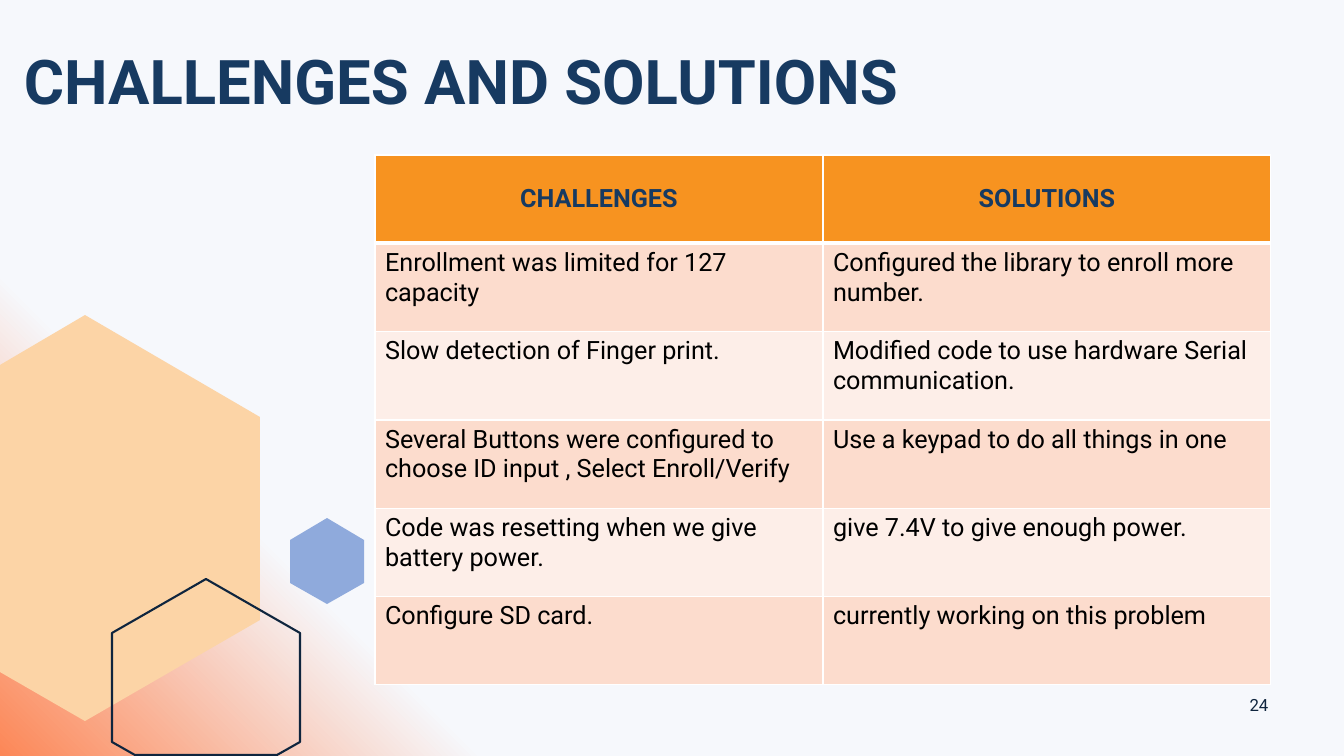
import pptx
import pptx.dml.color
import pptx.enum.text
import pptx.oxml
import pptx.oxml.ns
import pptx.util

COLORS = {
    "paper": "F6F8FC",
    "glow": "FC8757",
    "sky": "19AFE2",
    "peach": "FCD4A6",
    "periwinkle": "8FAADC",
    "ink": "0F253E",
    "navy": "173A61",
    "orange": "F79320",
    "rose": "FCDCCD",
    "blush": "FDEEE8",
    "white": "FFFFFF",
    "black": "000000",
}
EMU_PER_PX = 914400 / 100.8
CENTER = pptx.enum.text.PP_ALIGN.CENTER
LEFT = pptx.enum.text.PP_ALIGN.LEFT
TOP = pptx.enum.text.MSO_ANCHOR.TOP
MIDDLE = pptx.enum.text.MSO_ANCHOR.MIDDLE

ROWS = [
    ("CHALLENGES", "SOLUTIONS"),
    ("Enrollment was limited for 127 capacity",
     "Configured the library to enroll more number."),
    ("Slow detection of Finger print.",
     "Modified code to use hardware Serial communication."),
    ("Several Buttons were configured to choose ID input , Select Enroll/Verify",
     "Use a keypad to do all things in one"),
    ("Code was resetting when we give battery power.",
     "give 7.4V to give enough power."),
    ("Configure SD card.", "currently working on this problem"),
]
LARGE_HEXAGON = [(85, 315), (260, 417), (260, 620), (85, 721), (0, 672), (0, 365)]
OUTLINE_HEXAGON = [(206, 579), (300, 633), (300, 742), (277, 755),
                   (135, 755), (112, 742), (112, 633)]
SMALL_HEXAGON = [(327, 518), (290, 540), (290, 583), (327, 604), (364, 583), (364, 540)]


def px(length):
    return pptx.util.Emu(round(length * EMU_PER_PX))


def rgb(name):
    return pptx.dml.color.RGBColor.from_string(COLORS[name])


class SlideBuilder:
    def __init__(self, page, font):
        self.page = page
        self.font = font

    def background(self, stops):
        self.page.background.fill.solid()
        solid = self.page.element.find(".//" + pptx.oxml.ns.qn("a:solidFill"))
        stop_xml = "".join(
            f'<a:gs pos="{position * 1000}"><a:srgbClr val="{COLORS[color]}">'
            f'<a:alpha val="{alpha * 1000}"/></a:srgbClr></a:gs>'
            for position, color, alpha in stops
        )
        gradient = pptx.oxml.parse_xml(
            f'<a:gradFill {pptx.oxml.ns.nsdecls("a")} rotWithShape="1">'
            f'<a:gsLst>{stop_xml}</a:gsLst><a:path path="circle">'
            '<a:fillToRect l="100000" b="100000"/></a:path></a:gradFill>'
        )
        solid.getparent().replace(solid, gradient)

    def polygon(self, points, fill=None, line=None):
        builder = self.page.shapes.build_freeform(*points[0], scale=EMU_PER_PX)
        builder.add_line_segments(points[1:], close=True)
        shape = builder.convert_to_shape()
        shape.shadow.inherit = False
        if fill:
            shape.fill.solid()
            shape.fill.fore_color.rgb = rgb(fill)
        else:
            shape.fill.background()
        if line:
            shape.line.color.rgb = rgb(line)
            shape.line.width = pptx.util.Pt(1.5)
        else:
            shape.line.fill.background()

    def style(self, para, size, color, bold, align):
        para.alignment = align
        para.font.name = self.font
        para.font.size = pptx.util.Pt(size)
        para.font.bold = bold
        para.font.color.rgb = rgb(color)

    def text(self, bounds, words, size, color, bold=False, anchor=TOP, spacing=None):
        box = self.page.shapes.add_textbox(*map(px, bounds))
        frame = box.text_frame
        frame.word_wrap = True
        frame.vertical_anchor = anchor
        para = frame.paragraphs[0]
        para.text = words
        para.line_spacing = spacing
        self.style(para, size, color, bold, CENTER)

    def borders(self, cell, bottom):
        properties = cell._tc.get_or_add_tcPr()
        widths = {"lnL": 1, "lnR": 1, "lnT": 1, "lnB": bottom}
        for index, (side, width) in enumerate(widths.items()):
            properties.insert(index, pptx.oxml.parse_xml(
                f'<a:{side} {pptx.oxml.ns.nsdecls("a")} w="{width * 12700}">'
                f'<a:solidFill><a:srgbClr val="{COLORS["white"]}"/></a:solidFill>'
                f'</a:{side}>'
            ))

    def table(self, bounds, rows):
        frame = self.page.shapes.add_table(len(rows), len(rows[0]), *map(px, bounds))
        for row_index, row in enumerate(rows):
            header = row_index == 0
            band = "rose" if row_index % 2 else "blush"
            for column_index, words in enumerate(row):
                cell = frame.table.cell(row_index, column_index)
                cell.text = words
                cell.vertical_anchor = MIDDLE if header else TOP
                cell.fill.solid()
                cell.fill.fore_color.rgb = rgb("orange" if header else band)
                self.style(cell.text_frame.paragraphs[0], 18,
                           "navy" if header else "black", header,
                           CENTER if header else LEFT)
                self.borders(cell, 3 if header else 1)


def main():
    deck = pptx.Presentation()
    deck.slide_width = px(1344)
    deck.slide_height = px(756)
    slide = SlideBuilder(deck.slides.add_slide(deck.slide_layouts[6]), "Roboto")
    slide.background([(77, "paper", 100), (100, "glow", 93), (100, "sky", 59)])
    slide.polygon(LARGE_HEXAGON, fill="peach")
    slide.polygon(OUTLINE_HEXAGON, line="ink")
    slide.polygon(SMALL_HEXAGON, fill="periwinkle")
    slide.text((1234, 685, 50, 40), "24", 12, "ink", anchor=MIDDLE)
    slide.text((0, 46, 923, 90), "CHALLENGES AND SOLUTIONS", 44, "navy",
               bold=True, spacing=0.9)
    slide.table((375, 155, 896, 530), ROWS)
    deck.save("out.pptx")


if __name__ == "__main__":
    main()
